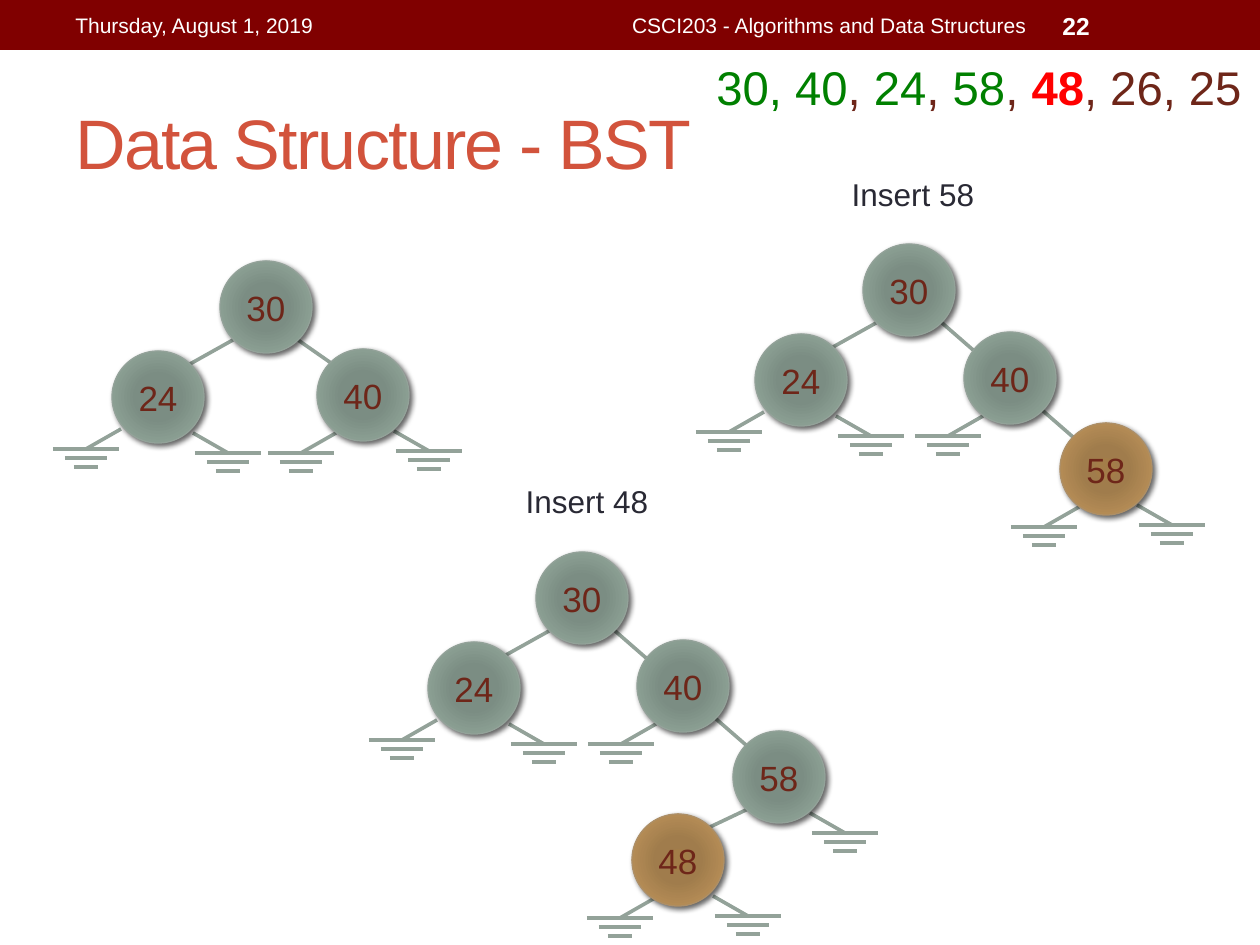
import dataclasses

import lxml.etree
import pptx
import pptx.dml.color
import pptx.enum.shapes
import pptx.enum.text
import pptx.oxml
import pptx.oxml.ns
import pptx.util

EMU_PER_PX = 914400 / 126
SLIDE_SIZE = (1260, 945)
ALIGN = pptx.enum.text.PP_ALIGN
ANCHOR = pptx.enum.text.MSO_ANCHOR
SHAPE = pptx.enum.shapes.MSO_SHAPE


@dataclasses.dataclass(frozen=True)
class Theme:
    font: str = "Arial"
    bar: str = "800000"
    paper: str = "FFFFFF"
    title: str = "D2533C"
    caption: str = "292934"
    label: str = "6E2619"
    done: str = "008000"
    current: str = "FF0000"
    branch: str = "93A299"
    # Stops at 0, 34, 70 and 100 percent, from the centre outwards
    node: tuple = ("7B8E82", "7B8D83", "8A9E92", "93A299")
    new_node: tuple = ("A37D49", "A07C4C", "B38B55", "AD8F67")
    header_size: int = 12
    page_size: int = 14
    title_size: int = 40
    caption_size: int = 18
    node_size: int = 20
    sequence_size: int = 27
    branch_width: float = 2.08
    outline_width: float = 0.75


THEME = Theme()
STOPS = (0, 34, 70, 100)
NODE = 92
DROP = (35, 20)
GROUND_BARS = ((0, 66), (9, 42), (18, 24))  # distance down, width

# Where the line to an empty child leaves each node
LEFT_EXIT = {24: (9, 78), 40: (19, 84), 58: (19, 84), 48: (23, 84)}
RIGHT_EXIT = {24: (81, 82), 40: (77, 82), 58: (77, 82), 48: (81, 82)}

# Offsets from the top left corner of the root
EDGE_TO_24 = ((13, 79), (-30, 103))
EDGE_TO_40 = ((78, 79), (111, 102))
EDGE_TO_58 = ((78, 78), (210, 193))
EDGE_TO_48 = ((212, 257), (174, 275))
NODES = {30: (0, 0), 24: (-108, 90), 40: (101, 88), 58: (197, 179), 48: (96, 262)}


def px(value):
    return pptx.util.Emu(round(value * EMU_PER_PX))


def colour(value):
    return pptx.dml.color.RGBColor.from_string(value)


def style(font, size, color, bold=None):
    font.name = THEME.font
    font.size = pptx.util.Pt(size)
    font.color.rgb = colour(color)
    font.bold = bold


def add_text(slide, box, text, size, color, align=ALIGN.LEFT, anchor=ANCHOR.MIDDLE, bold=None):
    shape = slide.shapes.add_textbox(*map(px, box))
    frame = shape.text_frame
    frame.word_wrap = True
    frame.vertical_anchor = anchor
    paragraph = frame.paragraphs[0]
    paragraph.text = text
    paragraph.alignment = align
    style(paragraph.font, size, color, bold)
    return shape


def add_branch(shapes, start, end):
    connector = shapes.add_connector(
        pptx.enum.shapes.MSO_CONNECTOR.STRAIGHT, *map(px, (*start, *end)))
    connector.line.color.rgb = colour(THEME.branch)
    connector.line.width = pptx.util.Pt(THEME.branch_width)
    lxml.etree.SubElement(connector._element.spPr, pptx.oxml.ns.qn("a:effectLst"))


def add_ground(shapes, start, side):
    """Draw an empty child; side is -1 for left and 1 for right."""
    x, y = start[0] + side * DROP[0], start[1] + DROP[1]
    add_branch(shapes, start, (x, y))
    for down, width in GROUND_BARS:
        add_branch(shapes, (x - width / 2, y + down), (x + width / 2, y + down))


def paint_node(shape, colours):
    """Give a node its radial gradient, outline and soft shadow."""
    namespace = pptx.oxml.ns.nsdecls("a")
    stops = "".join(
        f'<a:gs pos="{stop * 1000}"><a:srgbClr val="{value}"/></a:gs>'
        for stop, value in zip(STOPS, colours))
    properties = shape._element.spPr
    properties.insert(2, pptx.oxml.parse_xml(
        f'<a:gradFill {namespace} rotWithShape="1"><a:gsLst>{stops}</a:gsLst>'
        '<a:path path="circle"><a:fillToRect l="100000" t="100000" r="100000" b="100000"/>'
        '</a:path></a:gradFill>'))
    shape.line.color.rgb = colour(colours[-1])
    shape.line.width = pptx.util.Pt(THEME.outline_width)
    shape.shadow.inherit = False
    properties.find(pptx.oxml.ns.qn("a:effectLst")).append(pptx.oxml.parse_xml(
        f'<a:outerShdw {namespace} blurRad="38100" dist="25400" dir="2700000" rotWithShape="0">'
        '<a:srgbClr val="000000"><a:alpha val="60000"/></a:srgbClr></a:outerShdw>'))


def add_node(shapes, position, key, colours):
    shape = shapes.add_shape(SHAPE.OVAL, *map(px, (*position, NODE, NODE)))
    paint_node(shape, colours)
    frame = shape.text_frame
    frame.margin_left = frame.margin_right = 0
    frame.vertical_anchor = ANCHOR.MIDDLE
    paragraph = frame.paragraphs[0]
    paragraph.text = str(key)
    paragraph.alignment = ALIGN.CENTER
    style(paragraph.font, THEME.node_size, THEME.label)


def add_tree(slide, root, empty, edges, new_key=None, moved=None):
    """Draw a tree; empty maps each key to its empty sides, moved overrides node offsets."""
    shapes = slide.shapes.add_group_shape().shapes

    def place(offset, origin=root):
        return origin[0] + offset[0], origin[1] + offset[1]

    offsets = {**NODES, **(moved or {})}
    for start, end in edges:
        add_branch(shapes, place(start), place(end))
    for key, sides in empty.items():
        corner = place(offsets[key])
        if "L" in sides:
            add_ground(shapes, place(LEFT_EXIT[key], corner), -1)
        if "R" in sides:
            add_ground(shapes, place(RIGHT_EXIT[key], corner), 1)
    for key in (30, *empty):
        colours = THEME.new_node if key == new_key else THEME.node
        add_node(shapes, place(offsets[key]), key, colours)


def add_header(slide, width, height):
    bar = slide.shapes.add_shape(SHAPE.RECTANGLE, 0, 0, px(width), px(height))
    bar.shadow.inherit = False
    bar.fill.solid()
    bar.fill.fore_color.rgb = colour(THEME.bar)
    bar.line.fill.background()
    top, text_height = 3, height - 5
    add_text(slide, (63, top, 399, text_height), "Thursday, August 1, 2019",
             THEME.header_size, THEME.paper)
    add_text(slide, (472, top, 567, text_height), "CSCI203 - Algorithms and Data Structures",
             THEME.header_size, THEME.paper, ALIGN.RIGHT)
    add_text(slide, (1050, top, 147, text_height), "22",
             THEME.page_size, THEME.paper, bold=True)


def add_title(slide, box):
    shape = add_text(slide, box, "Data Structure - BST", THEME.title_size, THEME.title)
    run = shape.text_frame.paragraphs[0].runs[0]
    run._r.get_or_add_rPr().set("spc", "-100")


def add_sequence(slide, box):
    shape = add_text(slide, box, "", THEME.sequence_size, THEME.label, anchor=ANCHOR.TOP)
    shape.fill.solid()
    shape.fill.fore_color.rgb = colour(THEME.paper)
    parts = (("30, 40", THEME.done), (", ", THEME.label), ("24", THEME.done),
             (", ", THEME.label), ("58", THEME.done), (", ", THEME.label),
             ("48", THEME.current), (", 26, 25", THEME.label))
    for text, color in parts:
        run = shape.text_frame.paragraphs[0].add_run()
        run.text = text
        run.font.color.rgb = colour(color)
        run.font.bold = color == THEME.current


def add_caption(slide, left, top, text):
    add_text(slide, (left, top, 284, 50), text, THEME.caption_size, THEME.caption,
             ALIGN.CENTER, ANCHOR.TOP)


def main():
    presentation = pptx.Presentation()
    presentation.slide_width, presentation.slide_height = map(px, SLIDE_SIZE)
    slide = presentation.slides.add_slide(presentation.slide_layouts[6])
    add_header(slide, SLIDE_SIZE[0], 50)
    add_title(slide, (63, 73, 1134, 136))
    add_tree(slide, (220, 261), {24: "LR", 40: "LR"}, (EDGE_TO_24, EDGE_TO_40),
             moved={40: (97, 88)})
    add_tree(slide, (863, 244), {24: "LR", 58: "LR", 40: "L"},
             (EDGE_TO_24, EDGE_TO_58), new_key=58)
    add_caption(slide, 771, 169, "Insert 58")
    add_caption(slide, 445, 476, "Insert 48")
    add_tree(slide, (536, 552), {24: "LR", 40: "L", 48: "LR", 58: "R"},
             (EDGE_TO_24, EDGE_TO_58, EDGE_TO_48), new_key=48)
    add_sequence(slide, (704, 52, 556, 72))
    presentation.save("out.pptx")


if __name__ == "__main__":
    main()
